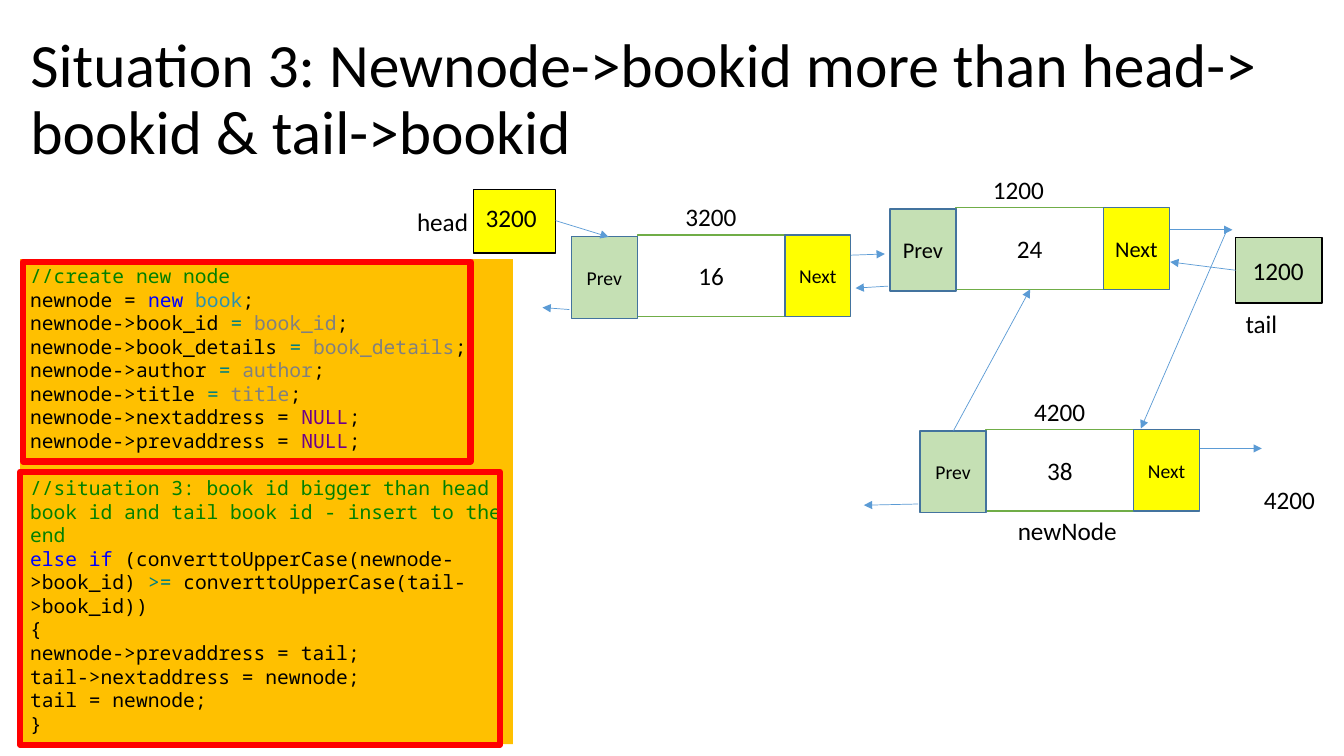
from dataclasses import dataclass

from lxml import etree
from pptx import Presentation
from pptx.dml.color import RGBColor
from pptx.enum.shapes import MSO_CONNECTOR, MSO_SHAPE
from pptx.enum.text import MSO_ANCHOR, PP_ALIGN
from pptx.oxml.ns import qn
from pptx.util import Cm, Pt

RECTANGLE = MSO_SHAPE.RECTANGLE
STRAIGHT = MSO_CONNECTOR.STRAIGHT
LEFT, CENTER = PP_ALIGN.LEFT, PP_ALIGN.CENTER
TOP, MIDDLE = MSO_ANCHOR.TOP, MSO_ANCHOR.MIDDLE


@dataclass(frozen=True)
class Theme:
    body_font: str = "Calibri"
    code_font: str = "Noto Sans Mono"
    title_size: int = 44
    label_size: int = 18
    code_size: int = 14
    black: str = "000000"
    white: str = "FFFFFF"
    yellow: str = "FFFF00"
    pale_green: str = "C5E0B4"
    green: str = "70AD47"
    navy: str = "43739E"
    blue: str = "5B9BD5"
    orange: str = "FFC000"
    red: str = "FF0000"
    comment: str = "008000"
    keyword: str = "0000FF"
    type_name: str = "2B91AF"
    operator: str = "008080"
    argument: str = "808080"
    macro: str = "6F008A"


THEME = Theme()


def set_attributes(target, values):
    for name, value in values.items():
        setattr(target, name, value)


def add_run(paragraph, text, size, color=THEME.black, font=THEME.body_font):
    run = paragraph.add_run()
    run.text = text
    set_attributes(run.font, {"name": font, "size": Pt(size)})
    run.font.color.rgb = RGBColor.from_string(color)


def add_box(slide, box, fill=None, line=None, weight=1):
    shape = slide.shapes.add_shape(RECTANGLE, *map(Cm, box))
    shape.shadow.inherit = False
    if fill:
        shape.fill.solid()
        shape.fill.fore_color.rgb = RGBColor.from_string(fill)
    else:
        shape.fill.background()
    if line:
        shape.line.color.rgb = RGBColor.from_string(line)
        shape.line.width = Pt(weight)
    else:
        shape.line.fill.background()
    return shape


def add_field(slide, box, text, size, fill, line):
    frame = add_box(slide, box, fill, line).text_frame
    set_attributes(frame, {"vertical_anchor": MIDDLE, "word_wrap": True})
    frame.paragraphs[0].alignment = CENTER
    add_run(frame.paragraphs[0], text, size)


def add_label(slide, left, top, text, width=1.8):
    frame = slide.shapes.add_textbox(Cm(left), Cm(top), Cm(width), Cm(1.02)).text_frame
    frame.word_wrap = False
    add_run(frame.paragraphs[0], text, THEME.label_size)


def add_arrow(slide, start, end):
    arrow = slide.shapes.add_connector(STRAIGHT, *map(Cm, start + end))
    arrow.line.color.rgb = RGBColor.from_string(THEME.blue)
    arrow.line.width = Pt(0.5)
    etree.SubElement(arrow.line._get_or_add_ln(), qn("a:tailEnd"), type="triangle")
    etree.SubElement(arrow._element.spPr, qn("a:effectLst"))


def draw_title(slide, box, text):
    title = slide.shapes.title
    set_attributes(title, dict(zip(("left", "top", "width", "height"), map(Cm, box))))
    set_attributes(title.text_frame, {"vertical_anchor": MIDDLE, "word_wrap": True})
    paragraph = title.text_frame.paragraphs[0]
    set_attributes(paragraph, {"alignment": LEFT, "line_spacing": 0.9})
    add_run(paragraph, text, THEME.title_size)


def draw_code(slide, box, sections):
    left, top = box[:2]
    frame = add_box(slide, box, THEME.orange).text_frame
    set_attributes(frame, {"vertical_anchor": TOP, "word_wrap": True})
    paragraph = frame.paragraphs[0]
    for section, (_, lines) in enumerate(sections):
        for number, line in enumerate(lines):
            if section or number:
                paragraph = frame.add_paragraph()
            paragraph.alignment = LEFT
            if section and not number:
                paragraph.space_before = Pt(17)
            for text, color in line:
                add_run(paragraph, text, THEME.code_size, color, THEME.code_font)
    # Red frame around each section
    for (dx, dy, width, height), _ in sections:
        add_box(slide, (left + dx, top + dy, width, height), line=THEME.red, weight=4.5)


def draw_node(slide, box, book_id, address, address_offset, field_size):
    left, top, width, height = box
    side = 1.66
    middle = width - 2 * side
    add_field(slide, (left + side, top, middle, height), book_id,
              THEME.label_size, THEME.white, THEME.green)
    add_field(slide, (left + side + middle, top, side, height), "Next",
              field_size, THEME.yellow, THEME.navy)
    add_field(slide, (left, top + 0.04, side, height), "Prev",
              field_size, THEME.pale_green, THEME.navy)
    add_label(slide, left + address_offset, top - 0.96, address)


def draw_pointer(slide, box, fill, value, value_offset, name, name_offset, name_width):
    left, top = box[:2]
    add_box(slide, box, fill, THEME.black)
    add_label(slide, left + value_offset[0], top + value_offset[1], value)
    add_label(slide, left + name_offset[0], top + name_offset[1], name, name_width)


def draw_links(slide, origin, links):
    left, top = origin
    for x1, y1, x2, y2 in links:
        add_arrow(slide, (left + x1, top + y1), (left + x2, top + y2))


def plain(text):
    return [(text, THEME.black)]


def assign(target, operator, value, color):
    return [(target, THEME.black), (operator, THEME.operator), (value, color), (";", THEME.black)]


CREATE_NODE = [
    [("//create new node", THEME.comment)],
    [("newnode = ", THEME.black), ("new ", THEME.keyword),
     ("book", THEME.type_name), (";", THEME.black)],
    *[assign(f"newnode->{field} ", "= ", field, THEME.argument)
      for field in ("book_id", "book_details", "author", "title")],
    *[[(f"newnode->{field} = ", THEME.black), ("NULL", THEME.macro), (";", THEME.black)]
      for field in ("nextaddress", "prevaddress")],
]
INSERT_AT_END = [
    [("//situation 3: book id bigger than head book id and tail book id"
      " - insert to the end", THEME.comment)],
    [("else if", THEME.keyword), (" (converttoUpperCase(newnode->book_id) ", THEME.black),
     (">= ", THEME.operator), ("converttoUpperCase(tail->book_id))", THEME.black)],
    *map(plain, ("{", "newnode->prevaddress = tail;", "tail->nextaddress = newnode;",
                 "tail = newnode;", "}")),
]
# Each link runs from its first point to its second, measured from the list area
LINKS = [
    (0.5, 0.06, 1.84, 0.47),       # head to first node
    (0.85, 2.3, 0.17, 2.25),       # first node Prev
    (7.94, 0.93, 8.8, 0.9),        # first node Next
    (8.88, 1.71, 8.06, 1.76),      # second node Prev
    (15.99, 0.29, 17.56, 0.29),    # second node Next
    (17.64, 1.31, 15.99, 1.1),     # tail to second node
    (17.41, 0.32, 15.25, 5.3),     # second node Next to new node
    (10.53, 5.35, 12.46, 1.79),    # new node Prev to second node
    (9.64, 7.2, 8.27, 7.23),       # new node Prev
    (16.75, 5.8, 18.3, 5.8),       # new node Next
]
NODES = [
    ((14.4, 5.92, 7.04, 2.06), "16", "3200", 2.62, 14),
    ((22.43, 5.23, 7.04, 2.06), "24", "1200", 2.34, 16),
    ((23.19, 10.82, 7.04, 2.06), "38", "4200", 2.62, 14),
]

presentation = Presentation()
set_attributes(presentation, {"slide_width": Cm(33.87), "slide_height": Cm(19.05)})
slide = presentation.slides.add_slide(presentation.slide_layouts[5])

# Title and code
draw_title(slide, (0.51, 0.71, 32.82, 3.68),
           "Situation 3: Newnode->bookid more than head-> bookid & tail->bookid")
draw_code(slide, (0.51, 6.53, 12.42, 12.22),
          [((0.07, 0.07, 11.28, 5.03), CREATE_NODE), ((0, 5.36, 12.09, 6.88), INSERT_AT_END)])

# Linked list
for node in NODES:
    draw_node(slide, *node)
draw_pointer(slide, (11.94, 4.78, 2.06, 1.6), THEME.yellow,
             "3200", (0.05, 0.2), "head", (-1.68, 0.3), 1.83)
draw_pointer(slide, (31.14, 5.99, 2.18, 1.65), THEME.pale_green,
             "1200", (0.18, 0.33), "tail", (0, 1.65), 1.32)
add_label(slide, 25.4, 12.85, "newNode", 3.05)
add_label(slide, 31.6, 12.09, "4200")
draw_links(slide, (13.5, 5.5), LINKS)

presentation.save("out.pptx")
